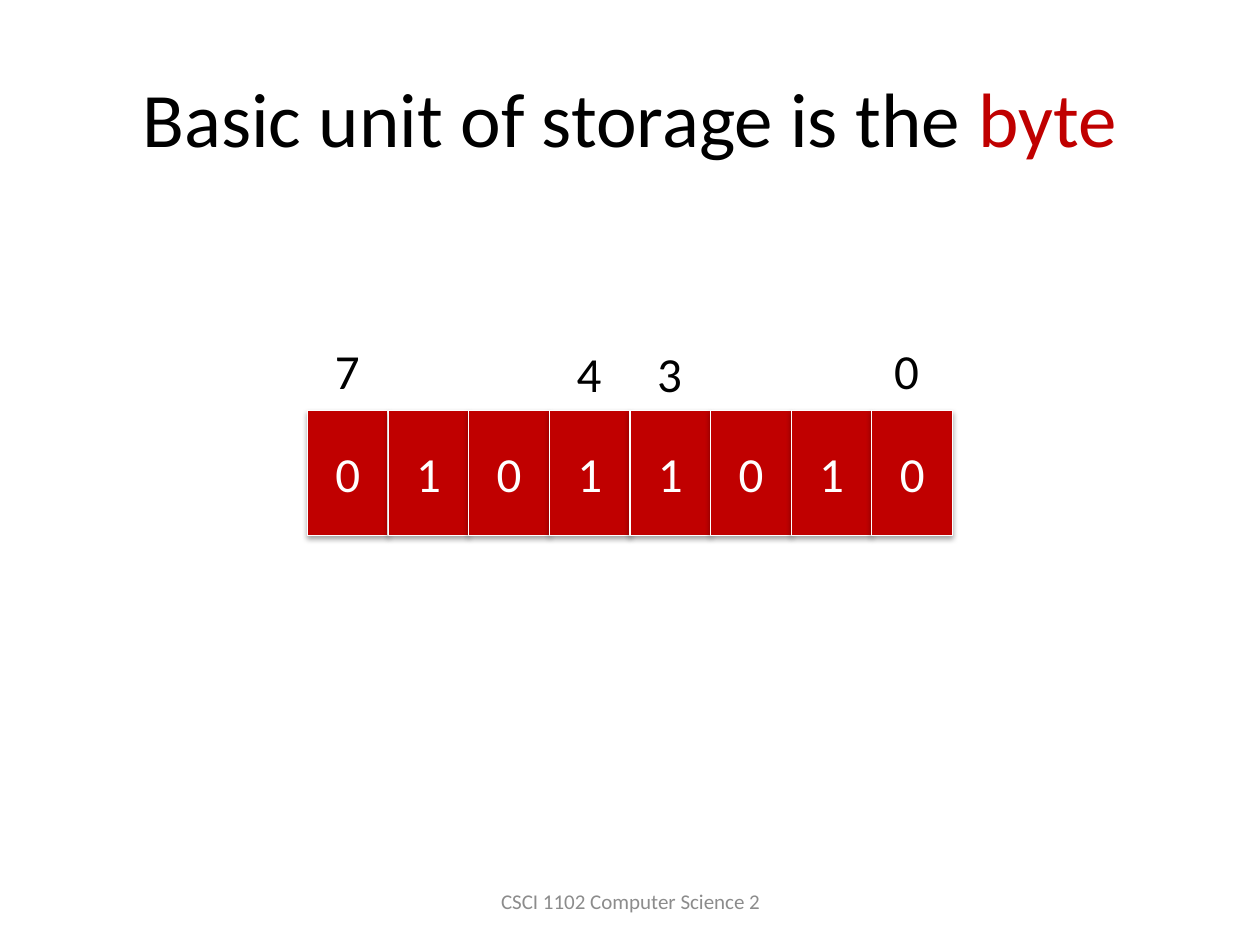
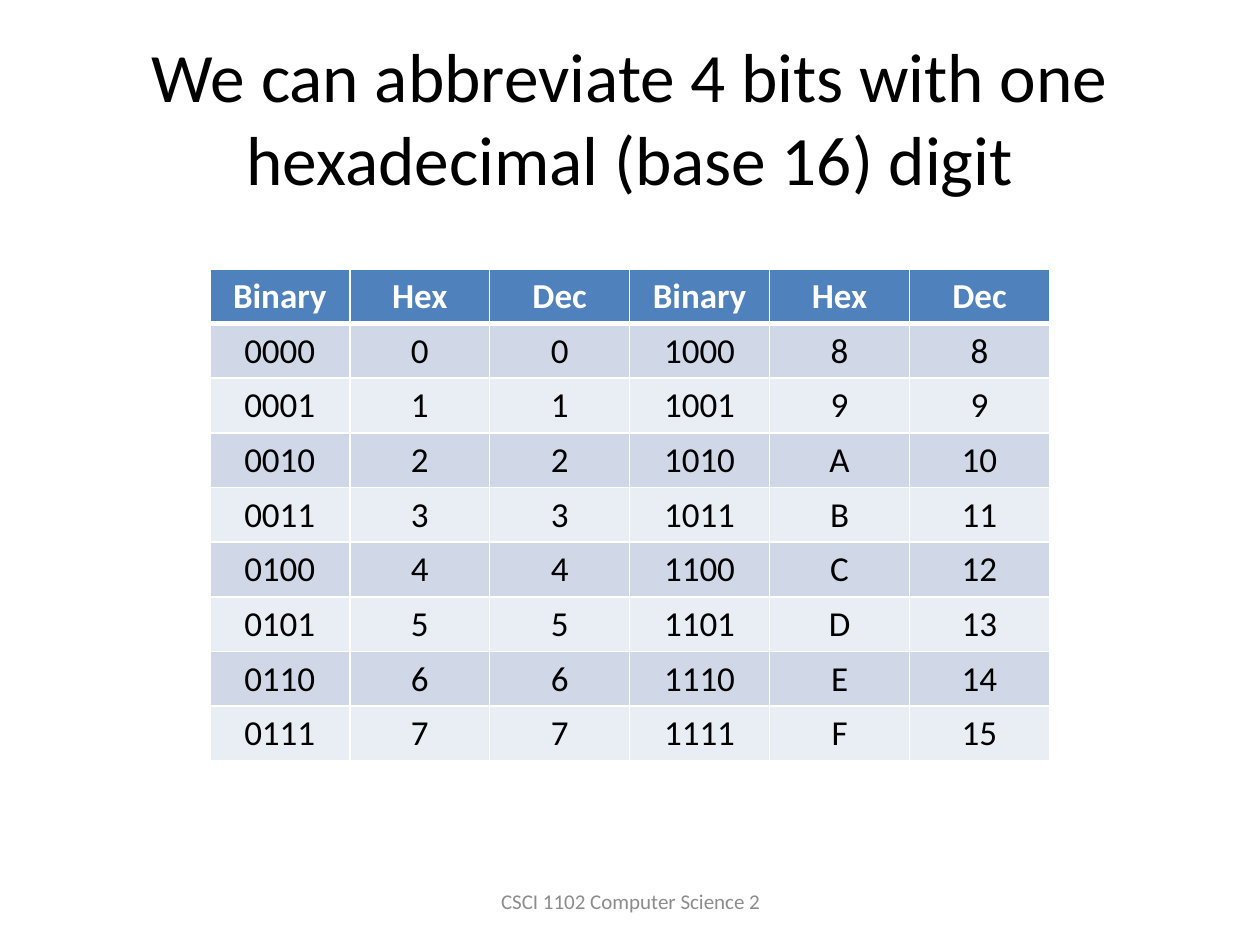
from lxml.etree import SubElement as Sub
from pptx import Presentation
from pptx.dml.color import RGBColor as RGB
from pptx.enum.shapes import MSO_SHAPE as Shape
from pptx.enum.text import MSO_ANCHOR as Anchor, MSO_AUTO_SIZE as Fit, PP_ALIGN as Align
from pptx.oxml.ns import qn
from pptx.util import Cm, Pt

FONT = "Calibri"
BLACK, WHITE, RED, GREY = "000000", "FFFFFF", "C00000", "8C8C8C"
HEAD, BANDS = "4F81BD", ("D0D8E8", "E9EDF4")
TITLE = (1.27, 0.76, 22.86, 3.18)
FOOT = (8.69, 17.65, 8.05, 1.02)
BYTE = (6.2, 8.28, 13, 2.51)
GRID = (4.23, 5.42, 16.93, 9.9)


def hue(code):
    return RGB.from_string(code)


def place(box):
    return [Cm(n) for n in box]


def style(frame, size, color, align=Align.CENTER, bold=False):
    for par in frame.paragraphs:
        par.alignment = align
        for run in par.runs:
            font = run.font
            font.name, font.size, font.bold = FONT, Pt(size), bold
            font.color.rgb = hue(color)


def add_text(slide, box, text, size, color, align=Align.CENTER, anchor=Anchor.MIDDLE, wrap=True):
    frame = slide.shapes.add_textbox(*place(box)).text_frame
    frame.text = text
    frame.word_wrap = wrap
    frame.vertical_anchor = anchor
    style(frame, size, color, align)


def add_slide(deck, text, size, accent=""):
    slide = deck.slides.add_slide(deck.slide_layouts[5])
    title = slide.shapes.title
    title.left, title.top, title.width, title.height = place(TITLE)
    frame = title.text_frame
    frame.text = text
    if accent:
        frame.paragraphs[0].add_run().text = accent
    frame.auto_size = Fit.NONE
    frame.vertical_anchor = Anchor.MIDDLE
    style(frame, size, BLACK)
    if accent:
        frame.paragraphs[0].runs[-1].font.color.rgb = hue(RED)
    add_text(slide, FOOT, "CSCI 1102 Computer Science 2", 12, GREY)
    return slide


def add_shade(shape):
    shape.shadow.inherit = False
    effects = shape._element.spPr.find(qn("a:effectLst"))
    shade = Sub(effects, qn("a:outerShdw"), blurRad=str(Pt(3.1)), dist=str(Pt(1.8)),
                dir="5400000", rotWithShape="0")
    color = Sub(shade, qn("a:srgbClr"), val=BLACK)
    Sub(color, qn("a:alpha"), val="35000")


def draw_byte(slide, box, bits):
    left, top, width, height = box
    step = width / len(bits)
    for i, bit in enumerate(bits):
        cell = slide.shapes.add_shape(Shape.RECTANGLE, *place((left + i * step, top, step, height)))
        cell.fill.solid()
        cell.fill.fore_color.rgb = hue(RED)
        cell.line.color.rgb = hue(WHITE)
        cell.line.width = Pt(0.75)
        add_shade(cell)
        cell.text_frame.text = bit
        cell.text_frame.vertical_anchor = Anchor.MIDDLE
        style(cell.text_frame, 28, WHITE)
    for place_no, inset, rise in ((7, 0.3, 1.55), (0, 0.2, 1.55), (3, 0.3, 1.47), (4, 0.3, 1.47)):
        x = left + (len(bits) - 1 - place_no) * step + inset
        add_text(slide, (x, top - rise, 1.02, 1.45), str(place_no), 28, BLACK,
                 Align.LEFT, Anchor.TOP, False)


def add_edges(cell, row):
    props = cell._tc.get_or_add_tcPr()
    thick = {"T": 3 if row == 1 else 1, "B": 3 if row == 0 else 1}
    for side in "LRTB":
        line = Sub(props, qn(f"a:ln{side}"), w=str(Pt(thick.get(side, 1))))
        Sub(Sub(line, qn("a:solidFill")), qn("a:srgbClr"), val=WHITE)


def draw_grid(slide, box, rows):
    table = slide.shapes.add_table(len(rows), len(rows[0]), *place(box)).table
    for r, row in enumerate(rows):
        for c, text in enumerate(row):
            cell = table.cell(r, c)
            add_edges(cell, r)
            cell.fill.solid()
            cell.fill.fore_color.rgb = hue(BANDS[(r - 1) % 2] if r else HEAD)
            cell.text_frame.text = text
            cell.vertical_anchor = Anchor.MIDDLE
            style(cell.text_frame, 20, BLACK if r else WHITE, bold=r == 0)


def forms(n):
    return [f"{n:04b}", f"{n:X}", str(n)]


def main():
    deck = Presentation()
    deck.slide_width, deck.slide_height = Cm(25.4), Cm(19.05)
    slide = add_slide(deck, "Basic unit of storage is the ", 44, "byte")
    draw_byte(slide, BYTE, "01011010")
    slide = add_slide(deck, "We can abbreviate 4 bits with one hexadecimal (base 16) digit", 39.6)
    rows = [["Binary", "Hex", "Dec"] * 2] + [forms(n) + forms(n + 8) for n in range(8)]
    draw_grid(slide, GRID, rows)
    deck.save("out.pptx")


if __name__ == "__main__":
    main()
